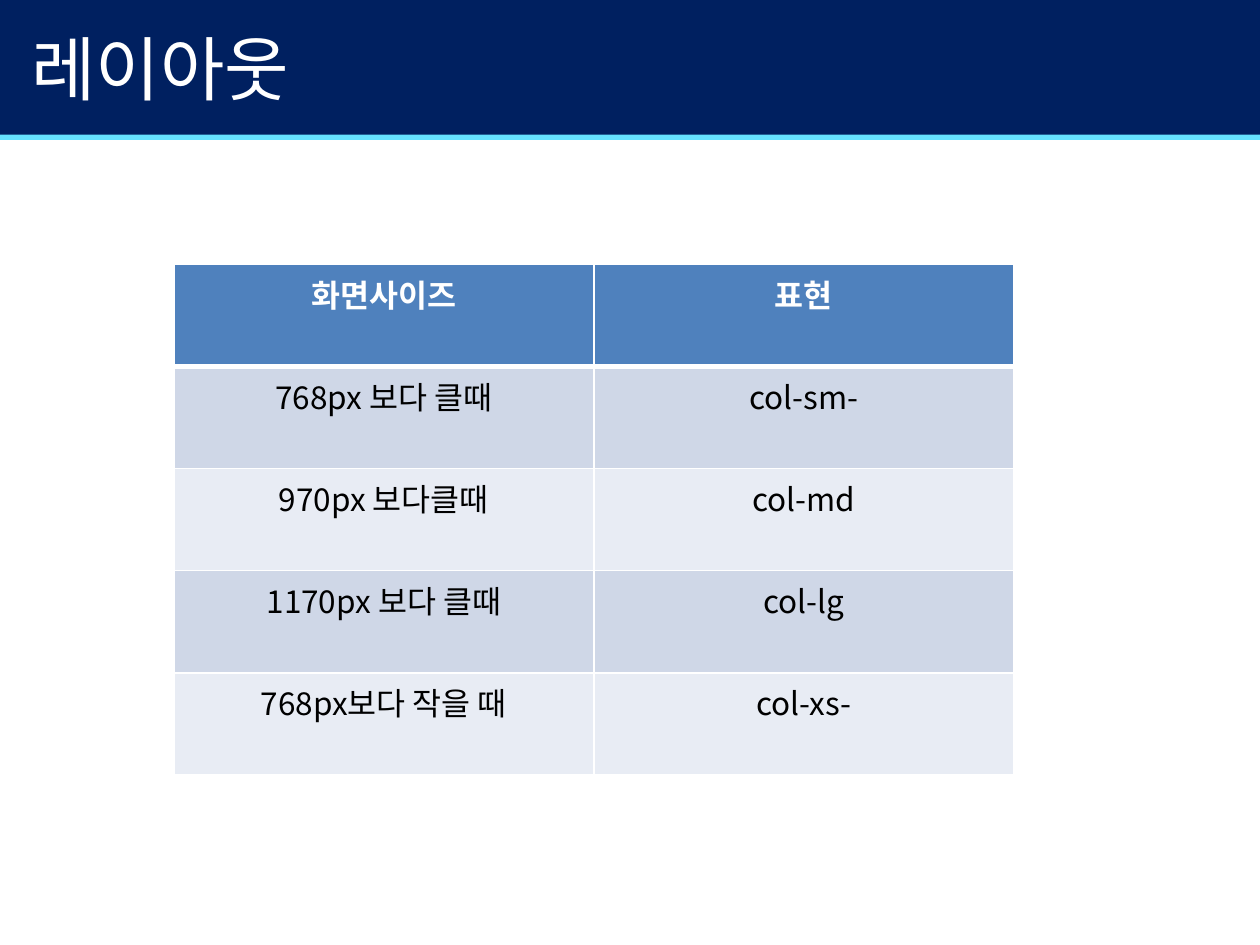
from pptx import Presentation
from pptx.dml.color import RGBColor as RGB
from pptx.enum.shapes import MSO_SHAPE as Shape
from pptx.enum.text import MSO_ANCHOR as Anchor, PP_ALIGN as Align
from pptx.oxml import parse_xml
from pptx.oxml.ns import nsdecls
from pptx.util import Inches, Pt

W, H = 10, 7.5
FONT = "Noto Sans CJK KR"
INSET = Inches(0.05)
COLORS = {
    "navy": "002060", "cyan": "65E2FF", "white": "FFFFFF", "black": "000000",
    "header": "4F81BD", "odd": "CFD7E7", "even": "E8ECF4",
}
ROWS = [
    ("화면사이즈", "표현"),
    ("768px 보다 클때", "col-sm-"),
    ("970px 보다클때", "col-md"),
    ("1170px 보다 클때", "col-lg"),
    ("768px보다 작을 때", "col-xs-"),
]


def color(name):
    return RGB.from_string(COLORS[name])


def add_run(p, text, size, fill, bold=False):
    r = p.add_run()
    r.text = text
    r.font.size, r.font.bold, r.font.name = Pt(size), bold, FONT
    r.font.color.rgb = color(fill)
    # Hangul takes the East Asian typeface
    r.font._element.append(parse_xml(f'<a:ea {nsdecls("a")} typeface="{FONT}"/>'))


def set_insets(obj):
    obj.margin_left = obj.margin_right = INSET
    obj.margin_top = obj.margin_bottom = INSET


def add_band(s, top, height, fill):
    sp = s.shapes.add_shape(Shape.RECTANGLE, 0, Inches(top), Inches(W), Inches(height))
    sp.shadow.inherit = False
    sp.fill.solid()
    sp.fill.fore_color.rgb = color(fill)
    sp.line.fill.background()


def add_title(s, text):
    tf = s.shapes.add_textbox(Inches(0.02 * W), Inches(-0.09),
                              Inches(0.9 * W), Inches(1.25)).text_frame
    tf.word_wrap = True
    tf.vertical_anchor = Anchor.MIDDLE
    set_insets(tf)
    add_run(tf.paragraphs[0], text, 40, "white")


def set_borders(cell, widths):
    pr = cell._tc.get_or_add_tcPr()
    for i, (side, width) in enumerate(widths.items()):
        pr.insert(i, parse_xml(
            f'<a:ln{side} {nsdecls("a")} w="{Pt(width)}"><a:solidFill>'
            f'<a:srgbClr val="{COLORS["white"]}"/></a:solidFill></a:ln{side}>'))


def fill_cell(cell, text, row):
    header = row == 0
    set_insets(cell)
    cell.fill.solid()
    cell.fill.fore_color.rgb = color("header" if header else "odd" if row % 2 else "even")
    # The rule under the header is shared by the first two rows
    set_borders(cell, {"L": 1, "R": 1, "T": 3 if row == 1 else 1, "B": 3 if header else 1})
    p = cell.text_frame.paragraphs[0]
    p.alignment = Align.CENTER
    add_run(p, text, 18, "white" if header else "black", header)


def add_grid(s, rows, left, top, col_width, row_height):
    n, m = len(rows), len(rows[0])
    table = s.shapes.add_table(n, m, Inches(left), Inches(top),
                               Inches(m * col_width), Inches(n * row_height)).table
    for i, row in enumerate(rows):
        for j, text in enumerate(row):
            fill_cell(table.cell(i, j), text, i)


def main():
    prs = Presentation()
    prs.slide_width, prs.slide_height = Inches(W), Inches(H)
    s = prs.slides.add_slide(prs.slide_layouts[6])
    # Header band with its accent line
    add_band(s, 1.06, 0.05, "cyan")
    add_band(s, 0, 1.07, "navy")
    add_title(s, "레이아웃")
    # Screen sizes and their class prefixes
    add_grid(s, ROWS, left=1.38, top=0.28 * H, col_width=W / 3, row_height=0.81)
    prs.save("out.pptx")


if __name__ == "__main__":
    main()
